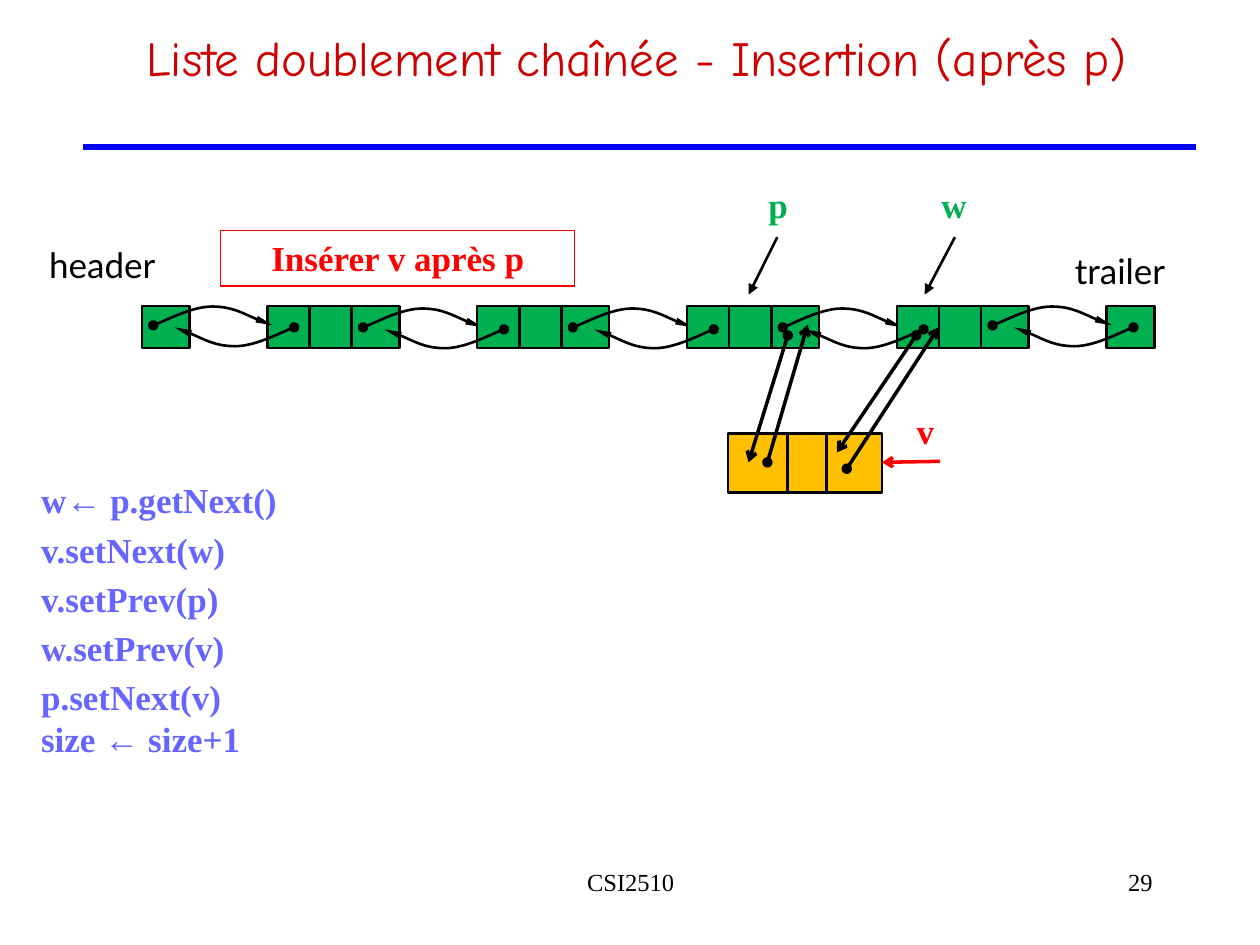
"""Build the slide on inserting a node into a doubly linked list."""
import lxml.etree
import pptx
import pptx.dml.color
import pptx.enum.shapes
import pptx.enum.text
import pptx.oxml.ns
import pptx.util

Cm, Pt = pptx.util.Cm, pptx.util.Pt
qn = pptx.oxml.ns.qn
ALIGN = pptx.enum.text.PP_ALIGN
RECT = pptx.enum.shapes.MSO_SHAPE.RECTANGLE
LINE = pptx.enum.shapes.MSO_CONNECTOR.STRAIGHT

THEME = {
    "black": "000000", "red": "FF0000", "green": "00B050", "gold": "FFC000",
    "blue": "0000FF", "code": "6666FF", "title": "CC0000",
    "serif": "Times New Roman", "sans": "Lato", "comic": "Comic Neue", "sign": "Arial",
    "head": 28, "body": 20, "foot": 14, "thin": 0.75, "line": 1.5, "bold": 2, "rule": 3.25,
}
KINDS = {
    "title": ("comic", "head", "title", False, ALIGN.CENTER),
    "foot": ("serif", "foot", "black", False, ALIGN.CENTER),
    "page": ("serif", "foot", "black", False, ALIGN.RIGHT),
    "end": ("sans", "body", "black", False, ALIGN.CENTER),
    "node": ("serif", "body", "green", True, ALIGN.CENTER),
    "new": ("serif", "body", "red", True, ALIGN.CENTER),
    "code": ("serif", "body", "code", True, ALIGN.LEFT),
}
TITLE = "Liste doublement chaînée - Insertion (après p)"
TASK = "Insérer v après p"
LABELS = [
    ("CSI2510", "foot", (8.69, 17.35, 8.05, 1.27)),
    ("29", "page", (18.21, 17.35, 5.28, 1.27)),
    ("header", "end", (0.58, 4.78, 2.97, 1.12)),
    ("trailer", "end", (21.26, 4.9, 2.64, 1.12)),
    ("p", "node", (15.09, 3.58, 1.19, 1.12)),
    ("w", "node", (18.64, 3.58, 1.19, 1.12)),
    ("v", "new", (18.06, 8.13, 1.19, 1.12)),
]
STEPS = [
    ["w← p.getNext()"], ["v.setNext(w)"], ["v.setPrev(p)"], ["w.setPrev(v)"],
    ["p.setNext(v)", "size ← size+1"],
]
CHAIN = [(2,), (0, 1, 2), (0, 1, 2), (0, 1, 2), (0, 1, 2), (0,)]
FRESH = [(14.68, 1.4), (15.88, 1.12), (16.66, 1.12)]
LINKS = [
    ((17.07, 9.45), (18.92, 6.6)), ((15.47, 9.32), (16.28, 6.55)),
    ((18.47, 6.76), (16.87, 9.12)), ((15.88, 6.76), (15.09, 9.32)),
]
MARKS = [((15.67, 4.78), (15.09, 5.94)), ((19.25, 4.78), (18.64, 5.94))]
BEND = [(0.2, -0.07), (0.8, -0.38), (1.19, -0.38), (1.6, -0.38), (2.16, -0.07), (2.41, 0)]
STEP, PITCH = 4.23, 0.85


def tint(name):
    return pptx.dml.color.RGBColor.from_string(THEME[name])


def apply(thing, form):
    for key, val in form.items():
        setattr(thing, key, val)


def write(frame, lines, kind):
    face, size, ink, bold, align = KINDS[kind]
    apply(frame, {"word_wrap": True, "auto_size": pptx.enum.text.MSO_AUTO_SIZE.NONE,
                  "vertical_anchor": pptx.enum.text.MSO_ANCHOR.TOP})
    for num, line in enumerate(lines):
        para = frame.add_paragraph() if num else frame.paragraphs[0]
        para.alignment = align
        for part in filter(None, line.partition("←")):
            run = para.add_run()
            run.text = part
            name = THEME["sign" if part == "←" else face]
            apply(run.font, {"name": name, "size": Pt(THEME[size]), "bold": bold})
            run.font.color.rgb = tint(ink)


def label(slide, lines, kind, place):
    box = slide.shapes.add_textbox(*map(Cm, place))
    write(box.text_frame, lines, kind)


def stroke(shape, ink, width):
    shape.line.color.rgb = tint(ink)
    shape.line.width = Pt(THEME[width])


def block(slide, place, fill, ink="black", width="line"):
    shape = slide.shapes.add_shape(RECT, *map(Cm, place))
    shape.shadow.inherit = False
    if fill:
        shape.fill.solid()
        shape.fill.fore_color.rgb = tint(fill)
    else:
        shape.fill.background()
    stroke(shape, ink, width)
    return shape


def tips(shape, head, tail, size=("med", "med")):
    edge = shape.element.spPr.find(qn("a:ln"))
    for tag, kind, dims in (("a:headEnd", head, ("med", "med")), ("a:tailEnd", tail, size)):
        if kind:
            lxml.etree.SubElement(edge, qn(tag), type=kind, w=dims[0], len=dims[1])


def join(slide, start, stop, ink, width, head=None, tail=None):
    link = slide.shapes.add_connector(LINE, *map(Cm, start + stop))
    stroke(link, ink, width)
    tips(link, head, tail)
    lxml.etree.SubElement(link.element.spPr, qn("a:effectLst"))


def curve(slide, left, top, sign):
    pen = slide.shapes.build_freeform(Cm(left), Cm(top))
    pen.add_line_segments([(Cm(left + sign * x), Cm(top + sign * y)) for x, y in BEND], close=False)
    shape = pen.convert_to_shape()
    shape.shadow.inherit = False
    shape.fill.background()
    trail = next(shape.element.iter(qn("a:path")))
    legs = trail.findall(qn("a:lnTo"))
    for num in range(0, len(legs), 3):
        bend = lxml.etree.SubElement(trail, qn("a:cubicBezTo"))
        for leg in legs[num:num + 3]:
            bend.append(leg[0])
            trail.remove(leg)
    stroke(shape, "black", "line")
    tips(shape, "oval", "triangle", ("sm", "lg"))


def chain(slide):
    last = len(CHAIN) - 2
    drops = [0 if num in (0, last) else 0.04 for num in range(last + 1)]

    def ahead(num):
        curve(slide, 3.09 + num * STEP, 6.56 + drops[num], 1)

    for num, cells in enumerate(CHAIN):
        for cell in cells:
            block(slide, (1.16 + num * STEP + cell * PITCH, 6.17, 0.96, 0.85), "green")
        if 0 < num < last:
            ahead(num)
    for num in (0, last):
        ahead(num)
    for num, drop in enumerate(drops):
        curve(slide, 5.93 + num * STEP, 6.6 + drop, -1)


def main():
    deck = pptx.Presentation()
    apply(deck, {"slide_width": Cm(25.4), "slide_height": Cm(19.05)})
    slide = deck.slides.add_slide(deck.slide_layouts[5])
    title = slide.shapes.title
    apply(title, {"left": Cm(1.3), "top": Cm(0.43), "width": Cm(24.1), "height": Cm(2.08)})
    title.text_frame.margin_right = Cm(1.3)
    write(title.text_frame, [TITLE], "title")
    join(slide, (1.68, 2.97), (24.1, 2.97), "blue", "rule")
    task = block(slide, (4.45, 4.65, 7.14, 1.12), None, "red", "thin")
    write(task.text_frame, [TASK], "new")
    chain(slide)
    for left, width in FRESH:
        block(slide, (left, 8.74, width, 1.19), "gold")
    for text, kind, place in LABELS:
        label(slide, [text], kind, place)
    for num, lines in enumerate(STEPS):
        label(slide, lines, "code", (0.58, 9.53 + num * 0.99, 7.06, 0.28 + 0.84 * len(lines)))
    join(slide, (18.95, 9.3), (17.78, 9.32), "red", "bold", tail="arrow")
    for start, stop in LINKS:
        join(slide, start, stop, "black", "bold", "oval", "arrow")
    for start, stop in MARKS:
        join(slide, start, stop, "black", "line", tail="triangle")
    deck.save("out.pptx")


if __name__ == "__main__":
    main()
